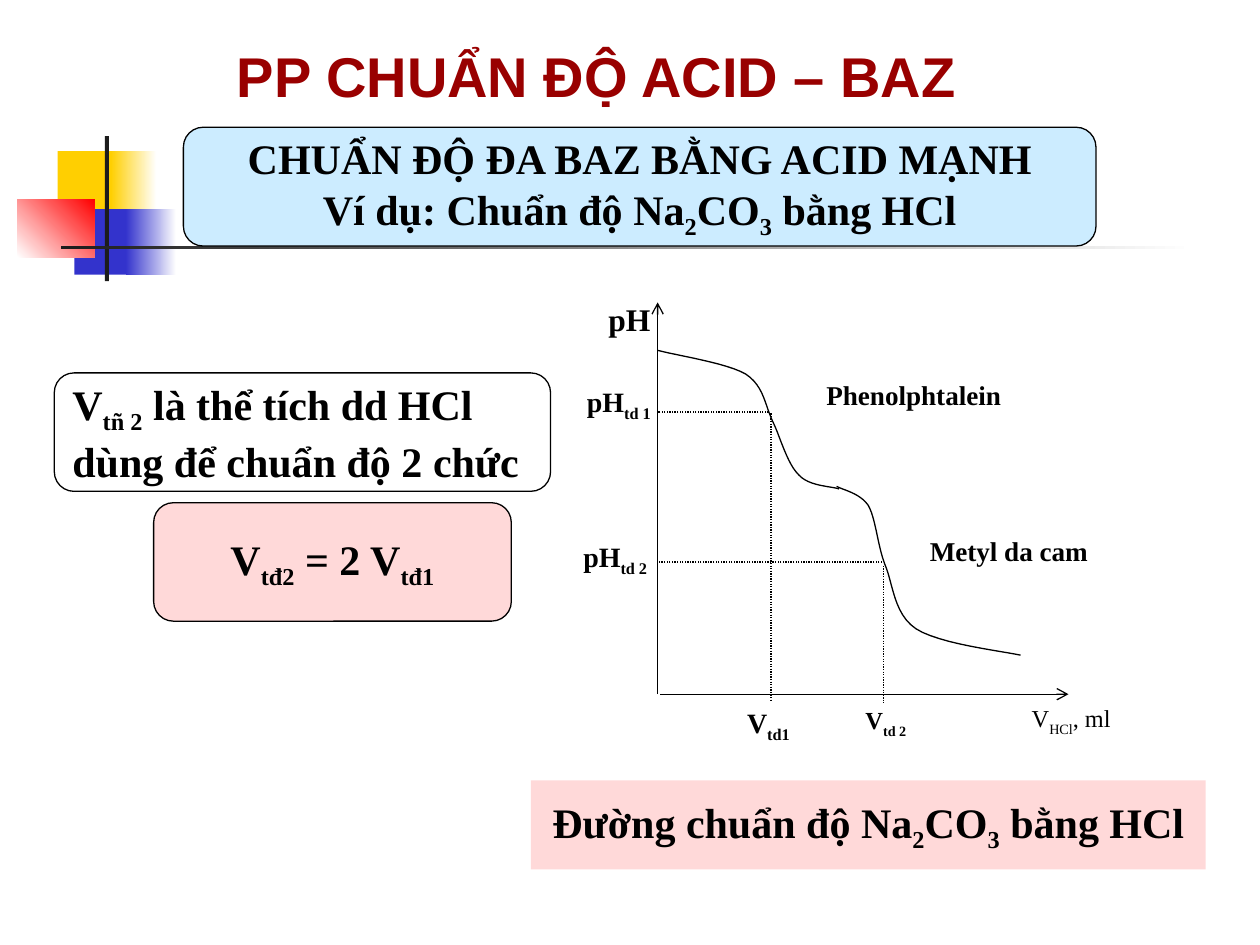
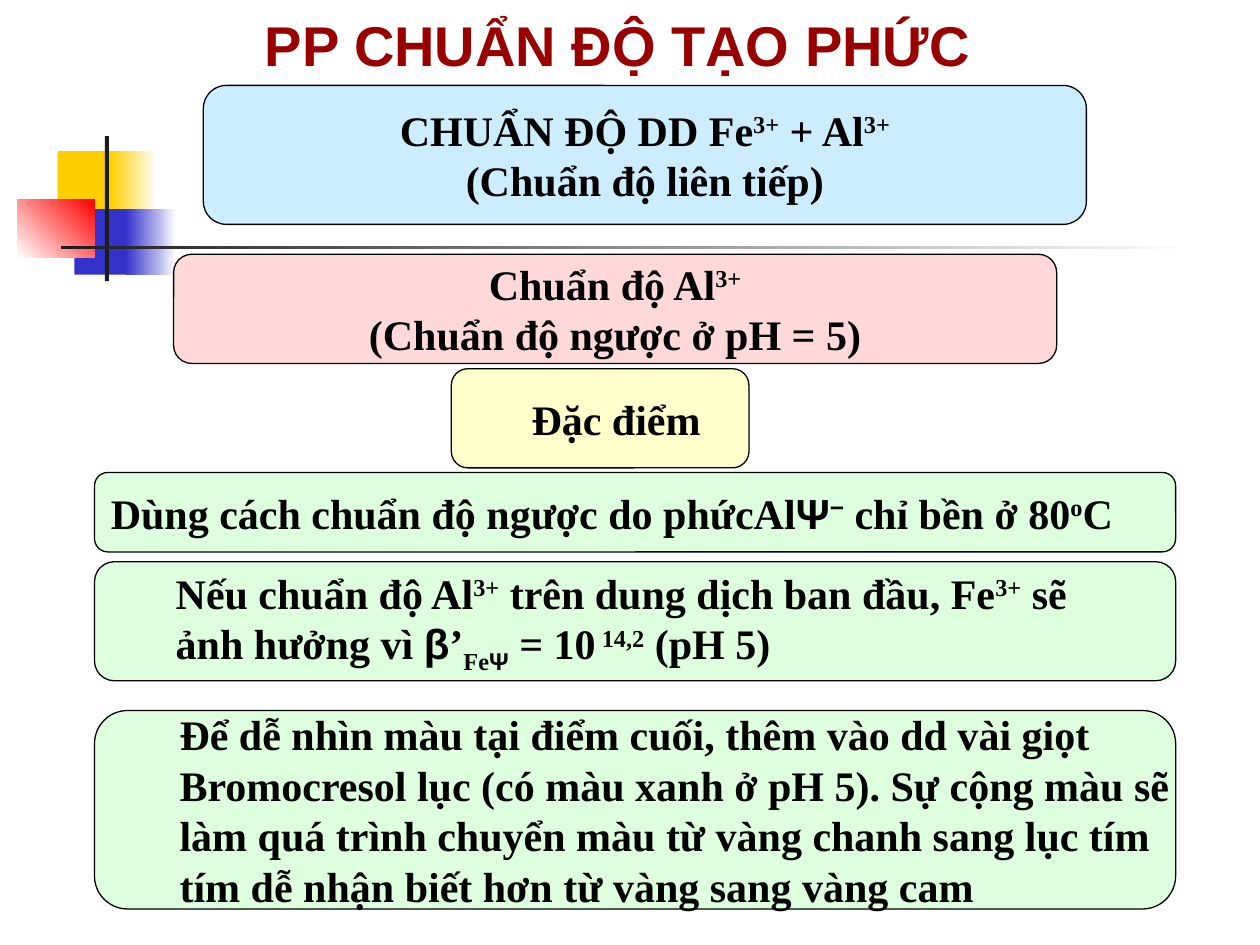
from lxml import etree
from pptx import Presentation
from pptx.dml.color import RGBColor
from pptx.enum import dml, shapes, text
from pptx.oxml import ns
from pptx.util import Pt

COLORS = {
    "title": "990000", "ink": "000000", "dark": "1C1C1C", "white": "FFFFFF",
    "yellow": "FFCF01", "indigo": "3333CC", "red": "FF0000",
    "sky": "CCECFF", "pink": "FFD9D9", "cream": "FFFFCC", "mint": "DDFFDD",
}
SERIF, SANS = "Times New Roman", "Arial"
SANS_SYMBOLS = ("Ψ", "β", "−")
BASELINES = {"_": -25000, "^": 30000}
LEFT, CENTER, JUSTIFY = text.PP_ALIGN.LEFT, text.PP_ALIGN.CENTER, text.PP_ALIGN.JUSTIFY
HANGING = 27

EMBLEM = [
    ((33, 86.4, 34.5, 37.4), ["yellow"], 0),
    ((63.4, 86.4, 26, 37.4), ["yellow", "white"], 0),
    ((42.5, 119.5, 33, 37.4), ["indigo"], 0),
    ((72, 119.5, 28.8, 37.4), ["indigo", "white"], 0),
    ((10, 113.8, 44, 33.1), ["white", "red"], 45),
    ((60, 77.8, 2.2, 82.8), ["dark"], 0),
    ((34.6, 140.4, 648, 2.2), ["dark", "white"], 0),
]

SLIDES = [
    {
        "title": ("PP CHUẨN ĐỘ ACID – BAZ", 114, 20),
        "panels": [
            ((31, 213.1, 283.6, 67.7), "white", JUSTIFY, 27,
             ["V|_tñ 2| là thể tích dd HCl", "dùng để chuẩn độ 2 chức"]),
            ((87.8, 287.3, 204.4, 67.7), "pink", CENTER, 27,
             ["V|_tđ2| = 2 V|_tđ1"]),
            ((104.8, 72.7, 521.5, 67.9), "sky", CENTER, 0,
             ["CHUẨN ĐỘ ĐA BAZ BẰNG ACID MẠNH",
              "Ví dụ: Chuẩn độ Na|_2|CO|_3| bằng HCl"]),
        ],
    },
    {
        "title": ("PP CHUẨN ĐỘ TẠO PHỨC", 126, 2),
        "panels": [
            ((257.9, 210.7, 170.1, 56.7), "cream", LEFT, 63, ["Đặc điểm"]),
            ((54, 270, 617.8, 45.4), "mint", LEFT, 27,
             ["Dùng cách chuẩn độ ngược do phứcAl|Ψ|^−| chỉ bền ở 80|^o|C"]),
            ((54, 321, 617.8, 68), "mint", LEFT, 63,
             ["Nếu chuẩn độ Al|^3+| trên dung dịch ban đầu, Fe|^3+| sẽ",
              "ảnh hưởng vì |β|’|_Fe|_Ψ| = 10|^ 14,2| (pH 5)"]),
            ((54, 406, 617.8, 113.4), "mint", JUSTIFY, 63,
             ["Để dễ nhìn màu tại điểm cuối, thêm vào dd vài giọt",
              "Bromocresol lục (có màu xanh ở pH 5). Sự cộng màu sẽ",
              "làm quá trình chuyển màu từ vàng chanh sang lục tím",
              "tím dễ nhận biết hơn từ vàng sang vàng cam"]),
            ((99.2, 145.3, 504.6, 62.4), "pink", CENTER, 0,
             ["Chuẩn độ Al|^3+", "(Chuẩn độ ngược ở pH = 5)"]),
            ((116.2, 48.8, 504.6, 79.4), "sky", CENTER, 0,
             ["CHUẨN ĐỘ DD Fe|^3+| + Al|^3+", "(Chuẩn độ liên tiếp)"]),
        ],
    },
]

CAPTION = ((303.3, 445.9, 385.7, 51), "Đường chuẩn độ Na|_2|CO|_3| bằng HCl")
PLOT_LABELS = [
    ("pH", (340.6, 167.8, 43.2, 31.7), 18, True, 1),
    ("V|_HCl|, ml", (582.5, 400.3, 89.3, 27.4), 13.9, False, 0.8),
    ("V|_td1", (419.8, 399.6, 43.2, 31.7), 16, True, 1),
    ("V|_td 2", (487.4, 399.6, 43.2, 31.7), 14, True, 1),
    ("pH|_td 1", (328.3, 216, 56.9, 31.7), 16, True, 1),
    ("pH|_td 2", (326.2, 304.6, 56.9, 31.7), 16, True, 1),
    ("Phenolphtalein", (465.1, 216, 149.8, 27.4), 15.5, True, 0.8),
    ("Metyl da cam", (524.2, 305.3, 142.6, 27.4), 15.5, True, 0.8),
]
AXES = [(377.3, 396.7, 610.6, 396.7), (375.8, 396.7, 375.8, 172.8)]
GUIDES = [
    (440.6, 236.2, 440.6, 400.3), (504.7, 323.3, 504.7, 401.8),
    (439.2, 235.4, 375.8, 235.4), (504, 321.1, 375.8, 321.1),
]
TITRATION_CURVES = [
    [(375.8, 200.2), (385.9, 203), (415.4, 207.4), (426.2, 213.8), (437, 221),
     (437, 231.8), (442.1, 241.9), (446.4, 251.3), (450, 265), (456.5, 271.4),
     (462.2, 277.9), (475.2, 277.9), (479.5, 279.4)],
    [(478.1, 277.9), (481.7, 280.1), (491, 281.5), (496.1, 288.7), (500.4, 295.9),
     (501.1, 309.6), (505.4, 321.8), (510.5, 333.4), (510.5, 350.6), (523.4, 359.3),
     (536.4, 367.9), (573.1, 372.2), (583.2, 374.4)],
]
CURVE_STEPS = 12


def rgb(name):
    return RGBColor.from_string(COLORS[name])


def points(values):
    return [Pt(value) for value in values]


def write_line(paragraph, markup, size=24, bold=True):
    for part in markup.split("|"):
        baseline = BASELINES.get(part[0])
        run = paragraph.add_run()
        run.text = part[1:] if baseline else part
        font = run.font
        font.size, font.bold = Pt(size), bold
        font.name = SANS if run.text in SANS_SYMBOLS else SERIF
        font.color.rgb = rgb("ink")
        if baseline:
            run._r.get_or_add_rPr().set("baseline", str(baseline))


def draw_box(slide, preset, area, colors, angle=0, outlined=False):
    box = slide.shapes.add_shape(preset, *points(area))
    box.shadow.inherit = False
    if len(colors) == 1:
        box.fill.solid()
        box.fill.fore_color.rgb = rgb(colors[0])
    else:
        box.fill.gradient()
        box.fill.gradient_angle = angle
        for stop, color in zip(box.fill.gradient_stops, colors):
            stop.color.rgb = rgb(color)
    if outlined:
        style_line(box.line)
    else:
        box.line.fill.background()
    return box


def style_line(line):
    line.color.rgb = rgb("ink")
    line.width = Pt(0.75)


def fill_box(box, lines, align, indent=0, wrap=False):
    frame = box.text_frame
    frame.word_wrap = wrap
    frame.vertical_anchor = text.MSO_ANCHOR.MIDDLE
    for index, markup in enumerate(lines):
        paragraph = frame.add_paragraph() if index else frame.paragraphs[0]
        paragraph.alignment = align
        if indent:
            properties = paragraph._p.get_or_add_pPr()
            properties.set("marL", str(Pt(indent)))
            properties.set("indent", str(-Pt(HANGING)))
        write_line(paragraph, markup)


def add_emblem(layout, slide):
    for area, colors, angle in EMBLEM:
        block = draw_box(slide, shapes.MSO_SHAPE.RECTANGLE, area, colors, angle)
        layout.shapes.element.append(block.element)


def add_title(slide, wording, left, top):
    title = slide.shapes.title
    title.left, title.top, title.width, title.height = points((left, top, 454, 46))
    frame = title.text_frame
    frame.text = wording
    frame.word_wrap = True
    frame.vertical_anchor = text.MSO_ANCHOR.MIDDLE
    frame.paragraphs[0].alignment = CENTER
    font = frame.paragraphs[0].runs[0].font
    font.name, font.size, font.bold = SANS, Pt(32), True
    font.color.rgb = rgb("title")


def add_line(slide, ends, arrow=False):
    connector = slide.shapes.add_connector(shapes.MSO_CONNECTOR.STRAIGHT, *points(ends))
    style_line(connector.line)
    if arrow:
        tail = etree.SubElement(connector.line._get_or_add_ln(), ns.qn("a:tailEnd"))
        tail.set("type", "arrow")
    else:
        connector.line.dash_style = dml.MSO_LINE.ROUND_DOT
    etree.SubElement(connector.element.spPr, ns.qn("a:effectLst"))


def sample_curve(controls):
    for first in range(0, len(controls) - 1, 3):
        segment = controls[first:first + 4]
        for step in range(1, CURVE_STEPS + 1):
            t = step / CURVE_STEPS
            weights = ((1 - t) ** 3, 3 * t * (1 - t) ** 2, 3 * t * t * (1 - t), t ** 3)
            yield points(sum(w * v for w, v in zip(weights, axis)) for axis in zip(*segment))


def add_curve(slide, controls):
    outline = slide.shapes.build_freeform(*points(controls[0]))
    outline.add_line_segments(list(sample_curve(controls)), close=False)
    curve = outline.convert_to_shape()
    curve.shadow.inherit = False
    curve.fill.background()
    style_line(curve.line)


def add_plot(slide):
    for markup, area, size, bold, spacing in PLOT_LABELS:
        frame = slide.shapes.add_textbox(*points(area)).text_frame
        frame.word_wrap = True
        frame.paragraphs[0].line_spacing = spacing
        write_line(frame.paragraphs[0], markup, size, bold)
    for axis in AXES:
        add_line(slide, axis, arrow=True)
    for controls in TITRATION_CURVES:
        add_curve(slide, controls)
    for guide in GUIDES:
        add_line(slide, guide)
    area, markup = CAPTION
    caption = draw_box(slide, shapes.MSO_SHAPE.RECTANGLE, area, ["pink"])
    fill_box(caption, [markup], CENTER, wrap=True)


def main():
    deck = Presentation()
    deck.slide_width, deck.slide_height = Pt(720), Pt(540)
    layout = deck.slide_layouts[5]
    for number, content in enumerate(SLIDES):
        slide = deck.slides.add_slide(layout)
        add_title(slide, *content["title"])
        if number == 0:
            add_emblem(layout, slide)
            add_plot(slide)
        for area, color, align, indent, lines in content["panels"]:
            panel = draw_box(slide, shapes.MSO_SHAPE.ROUNDED_RECTANGLE, area, [color],
                             outlined=True)
            fill_box(panel, lines, align, indent)
    deck.save("out.pptx")


if __name__ == "__main__":
    main()
